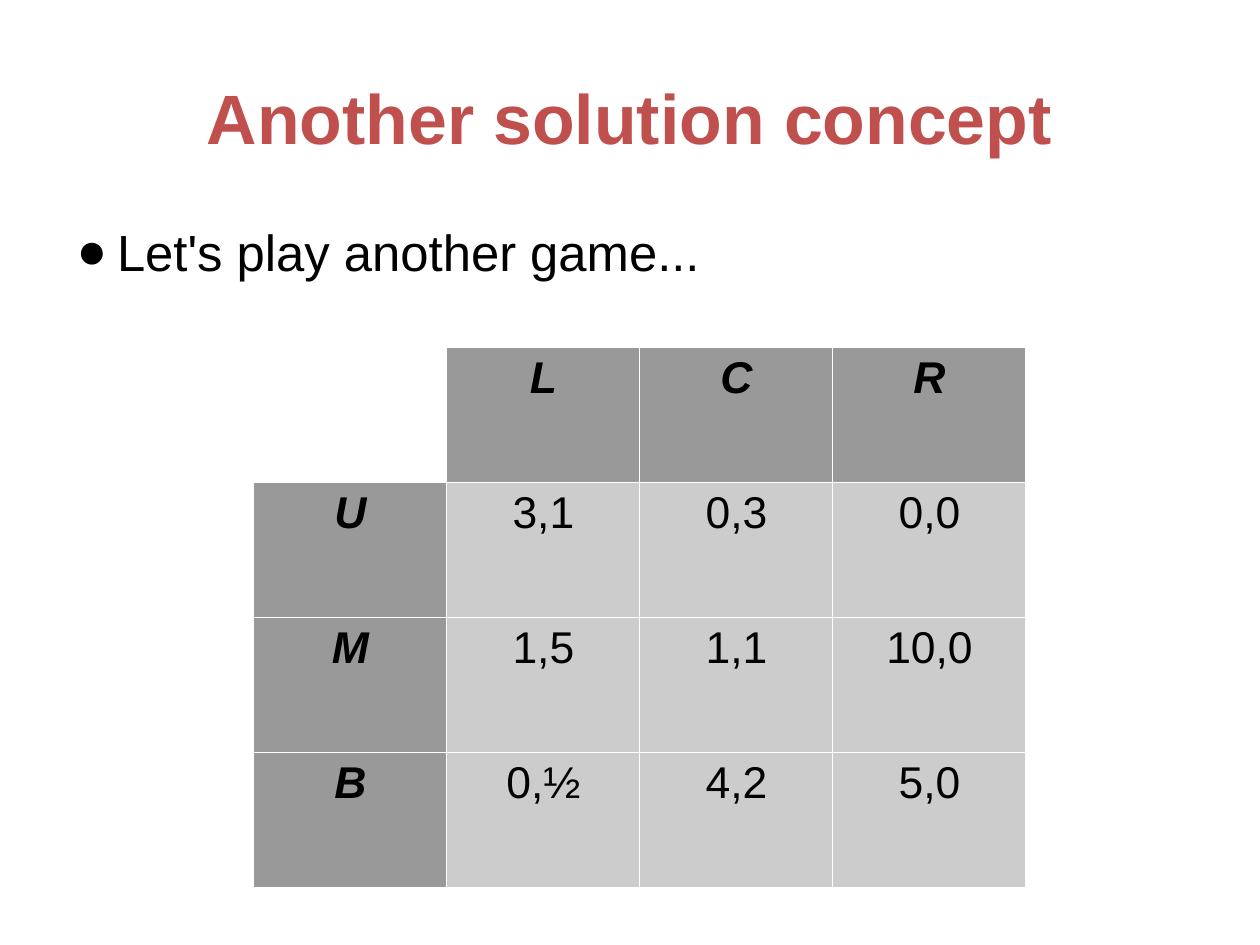
"""Build a slide that introduces a three-by-three game."""
from lxml import etree
from pptx import Presentation
from pptx import util as u
from pptx.dml import color
from pptx.enum import text
from pptx.oxml import ns

FONT = "Arial"
BLACK, WHITE, RED = "000000", "FFFFFF", "C0504D"
HEADER_GREY, PAYOFF_GREY = "999999", "CCCCCC"
PAYOFFS = [
    ["", "L", "C", "R"],
    ["U", "3,1", "0,3", "0,0"],
    ["M", "1,5", "1,1", "10,0"],
    ["B", "0,½", "4,2", "5,0"],
]


def rgb(value):
    return color.RGBColor.from_string(value)


def set_font(paragraph, size, colour, bold=False, italic=False):
    font = paragraph.font
    font.name = FONT
    font.size = u.Pt(size)
    font.color.rgb = rgb(colour)
    font.bold = bold
    font.italic = italic


def fill_placeholder(shape, words, top, height, anchor):
    shape.left, shape.top = u.Cm(1.4), u.Cm(top)
    shape.width, shape.height = u.Cm(25.2), u.Cm(height)
    frame = shape.text_frame
    frame.text = words
    frame.word_wrap = True
    frame.auto_size = text.MSO_AUTO_SIZE.NONE
    frame.vertical_anchor = anchor
    frame.margin_left = frame.margin_right = 0
    frame.margin_top = frame.margin_bottom = 0
    paragraph = frame.paragraphs[0]
    paragraph.space_before = u.Pt(0)
    return paragraph


def add_bullet(paragraph):
    properties = paragraph._p.get_or_add_pPr()
    properties.set("marL", str(u.Cm(1.2)))
    properties.set("indent", str(-u.Cm(0.9)))
    bullet_colour = etree.SubElement(properties, ns.qn("a:buClr"))
    etree.SubElement(bullet_colour, ns.qn("a:srgbClr"), val=BLACK)
    etree.SubElement(properties, ns.qn("a:buFont"), typeface=FONT)
    etree.SubElement(properties, ns.qn("a:buChar"), char="●")


def add_borders(cell):
    properties = cell._tc.get_or_add_tcPr()
    for side in ("lnL", "lnR", "lnT", "lnB"):
        line = etree.SubElement(properties, ns.qn(f"a:{side}"), w=str(u.Pt(0.75)))
        fill = etree.SubElement(line, ns.qn("a:solidFill"))
        etree.SubElement(fill, ns.qn("a:srgbClr"), val=WHITE)


def format_cell(cell, words, is_header):
    add_borders(cell)
    fill_colour = HEADER_GREY if is_header else PAYOFF_GREY
    cell.fill.solid()
    cell.fill.fore_color.rgb = rgb(fill_colour if words else WHITE)
    cell.text = words
    paragraph = cell.text_frame.paragraphs[0]
    paragraph.alignment = text.PP_ALIGN.CENTER
    set_font(paragraph, 28, BLACK, bold=is_header, italic=is_header)


def add_payoff_table(slide):
    side = len(PAYOFFS)
    column_width, row_height = u.Cm(4.29), u.Cm(3)
    frame = slide.shapes.add_table(
        side, side, u.Cm(5.64), u.Cm(7.73), side * column_width, side * row_height)
    table = frame.table
    table.first_row = False
    table.horz_banding = False
    for row, values in enumerate(PAYOFFS):
        for column, words in enumerate(values):
            format_cell(table.cell(row, column), words, row == 0 or column == 0)


def main():
    presentation = Presentation()
    presentation.slide_width, presentation.slide_height = u.Cm(28), u.Cm(21)
    slide = presentation.slides.add_slide(presentation.slide_layouts[1])

    title = fill_placeholder(slide.shapes.title, "Another solution concept",
                             0.84, 3.5, text.MSO_ANCHOR.MIDDLE)
    title.alignment = text.PP_ALIGN.CENTER
    set_font(title, 44, RED, bold=True)

    body = fill_placeholder(slide.placeholders[1], "Let's play another game...",
                            4.9, 12.2, text.MSO_ANCHOR.TOP)
    add_bullet(body)
    set_font(body, 32, BLACK)

    add_payoff_table(slide)
    presentation.save("out.pptx")


if __name__ == "__main__":
    main()
